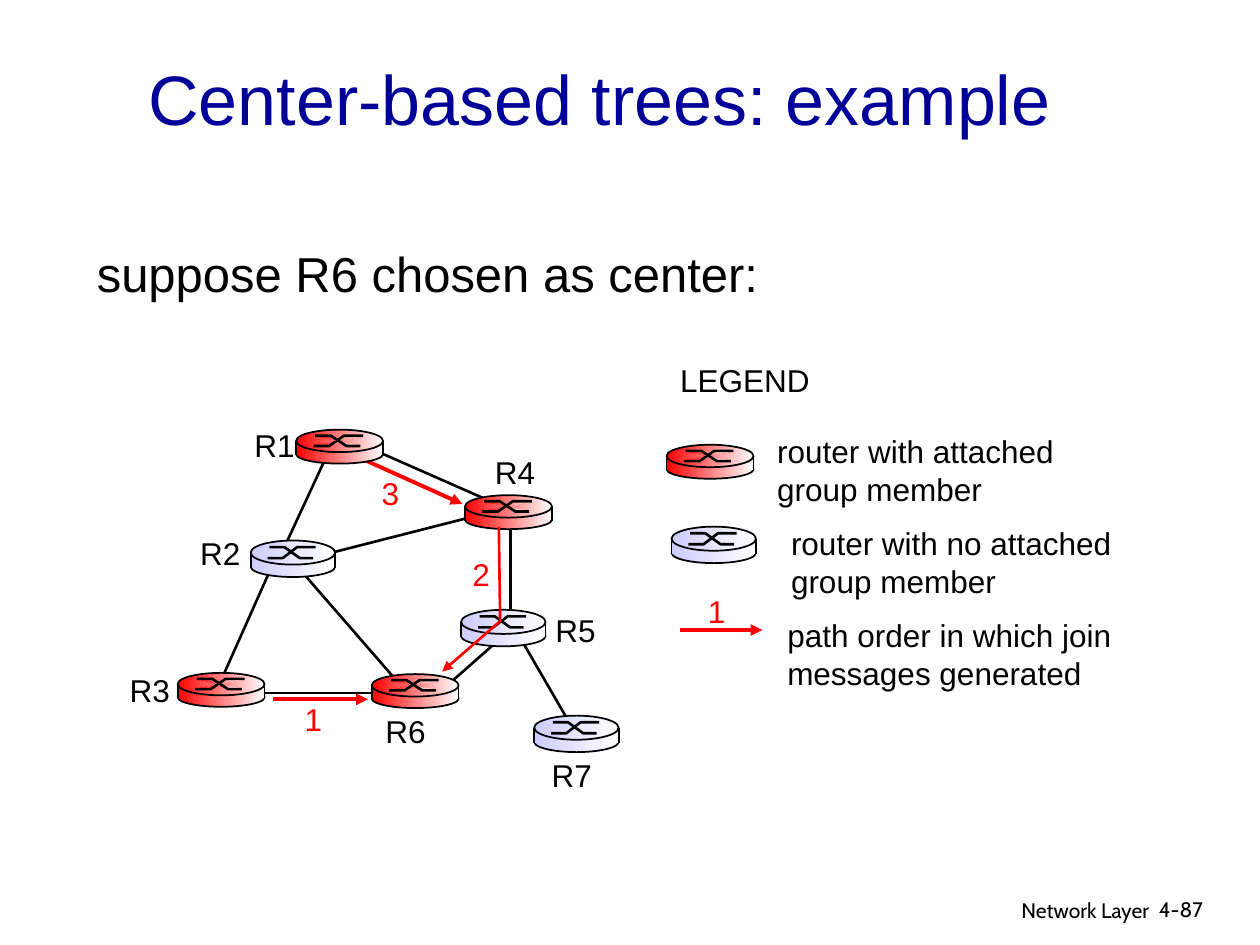
"""Build the slide that shows a center-based multicast tree with R6 as center."""
import pptx
import pptx.util
import pptx.dml.color
import pptx.enum.shapes
import pptx.enum.text
import pptx.oxml

Inches = pptx.util.Inches
Pt = pptx.util.Pt
MSO_SHAPE = pptx.enum.shapes.MSO_SHAPE
PP_ALIGN = pptx.enum.text.PP_ALIGN

BLACK, RED, NAVY, LAVENDER, WHITE = "000000", "FF0000", "000099", "CCCCFF", "FFFFFF"
MEMBER = (RED, 0.69, 0.27)
NON_MEMBER = (LAVENDER, 0.67, 0.29)

LINKS = [
    (4.07, 4.96, 4.51, 5.72), (2.54, 4.41, 4.03, 4.03), (2.25, 4.37, 3.18, 5.44),
    (2.92, 3.55, 4.01, 4.03), (3.47, 5.51, 4.06, 4.99), (4.05, 4.14, 4.05, 4.93),
    (1.9, 5.5, 3.02, 5.5), (2.16, 4.49, 1.75, 5.41), (2.62, 3.56, 2.24, 4.38),
]
JOIN_ARROWS = [(5.4, 5, 6.05, 5), (2.17, 5.55, 2.92, 5.55), (2.87, 3.64, 3.67, 4)]
JOIN_ORDER = [("2", 3.65, 4.36), ("1", 5.52, 4.65), ("3", 2.93, 3.71), ("1", 2.32, 5.51)]
ROUTER_NAMES = [
    ("R1", 1.92, 3.33), ("R2", 1.49, 4.19), ("R3", 0.93, 5.28), ("R4", 3.83, 3.55),
    ("R5", 4.31, 4.8), ("R6", 2.96, 5.6), ("R7", 4.28, 5.95),
]
ROUTERS = [
    (2.35, 3.41, MEMBER), (3.69, 3.93, MEMBER), (2.95, 5.35, MEMBER), (1.41, 5.34, MEMBER),
    (1.99, 4.29, NON_MEMBER), (3.66, 4.84, NON_MEMBER), (4.24, 5.68, NON_MEMBER),
]
LEGEND_ROUTERS = [(5.29, 3.53, MEMBER), (5.33, 4.18, NON_MEMBER)]


def rgb(colour):
    """Turn a hex string into a colour."""
    return pptx.dml.color.RGBColor.from_string(colour)


def add_xml(parent, tag, attributes=""):
    """Append an empty DrawingML element to a parent."""
    namespace = "http://schemas.openxmlformats.org/drawingml/2006/main"
    parent.append(pptx.oxml.parse_xml(f'<a:{tag} xmlns:a="{namespace}" {attributes}/>'))


def set_line(part, colour, width, arrow=False):
    """Give a line its colour, width and optional arrowhead."""
    part.line.color.rgb = rgb(colour)
    part.line.width = Pt(width)
    if arrow:
        add_xml(part.line._get_or_add_ln(), "tailEnd", 'type="triangle"')


def set_gradient(part, colour):
    """Fade a fill from a colour on the left to white on the right."""
    part.fill.gradient()
    part.fill.gradient_angle = 0
    for stop, shade in zip(part.fill.gradient_stops, (colour, WHITE)):
        stop.color.rgb = rgb(shade)


def add_text(slide, text, left, top, width, height=0.4, size=18, colour=BLACK,
             font="Arial", wrap=False, align=PP_ALIGN.LEFT):
    """Add a text box and return its frame."""
    box = slide.shapes.add_textbox(Inches(left), Inches(top), Inches(width), Inches(height))
    frame = box.text_frame
    frame.text = text
    frame.word_wrap = wrap
    for paragraph in frame.paragraphs:
        paragraph.alignment = align
        for run in paragraph.runs:
            run.font.name = font
            run.font.size = Pt(size)
            run.font.color.rgb = rgb(colour)
    return frame


def add_line(shapes, ends, colour, width, arrow=False):
    """Draw a straight line between two points."""
    line = shapes.add_connector(pptx.enum.shapes.MSO_CONNECTOR.STRAIGHT, *map(Inches, ends))
    set_line(line, colour, width, arrow)
    add_xml(line._element.spPr, "effectLst")


def add_polyline(shapes, points, colour, arrow=False):
    """Draw an open outline through points and return it."""
    corners = [(Inches(x), Inches(y)) for x, y in points]
    builder = shapes.build_freeform(*corners[0])
    builder.add_line_segments(corners[1:], close=False)
    outline = builder.convert_to_shape()
    outline.shadow.inherit = False
    outline.fill.background()
    set_line(outline, colour, 1.5, arrow)
    return outline


def add_router(slide, left, top, kind):
    """Draw a router as a group: a disc with a crossing on its lid."""
    colour, width, height = kind
    shapes = slide.shapes.add_group_shape().shapes

    for preset, offset, share in ((MSO_SHAPE.OVAL, 0.44, 0.56), (MSO_SHAPE.RECTANGLE, 0.4, 0.34),
                                  (MSO_SHAPE.OVAL, 0, 0.66)):
        part = shapes.add_shape(preset, Inches(left), Inches(top + offset * height),
                                Inches(width), Inches(share * height))
        part.shadow.inherit = False
        set_gradient(part, colour)
        if preset == MSO_SHAPE.OVAL:
            set_line(part, BLACK, 1)
        else:
            part.line.fill.background()

    high, low = 0.18, 0.48
    for across, down in (((0.2, 0.38, 0.55, 0.77), (low, low, high, high)),
                         ((0.22, 0.4, 0.58, 0.74), (high, high, low, low))):
        points = [(left + x * width, top + y * height) for x, y in zip(across, down)]
        crossing = add_polyline(shapes, points, BLACK)
        if kind == MEMBER:
            set_gradient(crossing, colour)

    for side in (left, left + width):
        add_line(shapes, (side, top + 0.33 * height, side, top + 0.75 * height), BLACK, 1)


def add_network(slide):
    """Draw links, join arrows, labels and routers."""
    for ends in JOIN_ARROWS:
        add_line(slide.shapes, ends, RED, 2.25, arrow=True)
    for order, left, top in JOIN_ORDER:
        add_text(slide, order, left, top, 0.34, colour=RED)
    for ends in LINKS:
        add_line(slide.shapes, ends, BLACK, 1.5)
    for name, left, top in ROUTER_NAMES:
        add_text(slide, name, left, top, 0.52)
    for router in ROUTERS:
        add_router(slide, *router)
    add_polyline(slide.shapes, [(3.96, 4.18), (3.97, 4.93), (3.51, 5.33)], RED, arrow=True)


def add_legend(slide):
    """Explain the router kinds and the join arrows."""
    add_text(slide, "LEGEND", 5.3, 2.82, 1.23)
    add_text(slide, "router with attached\ngroup member", 6.07, 3.38, 2.4, 0.7)
    add_text(slide, "router with no attached\ngroup member", 6.18, 4.11, 2.74, 0.7)
    add_text(slide, "path order in which join messages generated", 6.15, 4.84, 3.31, 0.7, wrap=True)
    for router in LEGEND_ROUTERS:
        add_router(slide, *router)


def main():
    """Build and save the slide."""
    deck = pptx.Presentation()
    deck.slide_width, deck.slide_height = Inches(10), Inches(7.5)
    slide = deck.slides.add_slide(deck.slide_layouts[6])

    title = add_text(slide, "Center-based trees: example", 1.08, 0.43, 8.5, 0.69,
                     size=40, colour=NAVY, wrap=True)
    title.vertical_anchor = pptx.enum.text.MSO_ANCHOR.MIDDLE
    add_text(slide, "suppose R6 chosen as center:", 0.67, 1.88, 8.75, 5.03, size=28, wrap=True)
    add_network(slide)
    add_legend(slide)
    add_text(slide, "Network Layer", 6.05, 7.07, 3.17, 0.31, size=12, font="Cabin",
             wrap=True, align=PP_ALIGN.RIGHT)
    add_text(slide, "4-87", 9.1, 7.07, 0.74, 0.3, size=12, font="Cabin", wrap=True)
    deck.save("out.pptx")


if __name__ == "__main__":
    main()
